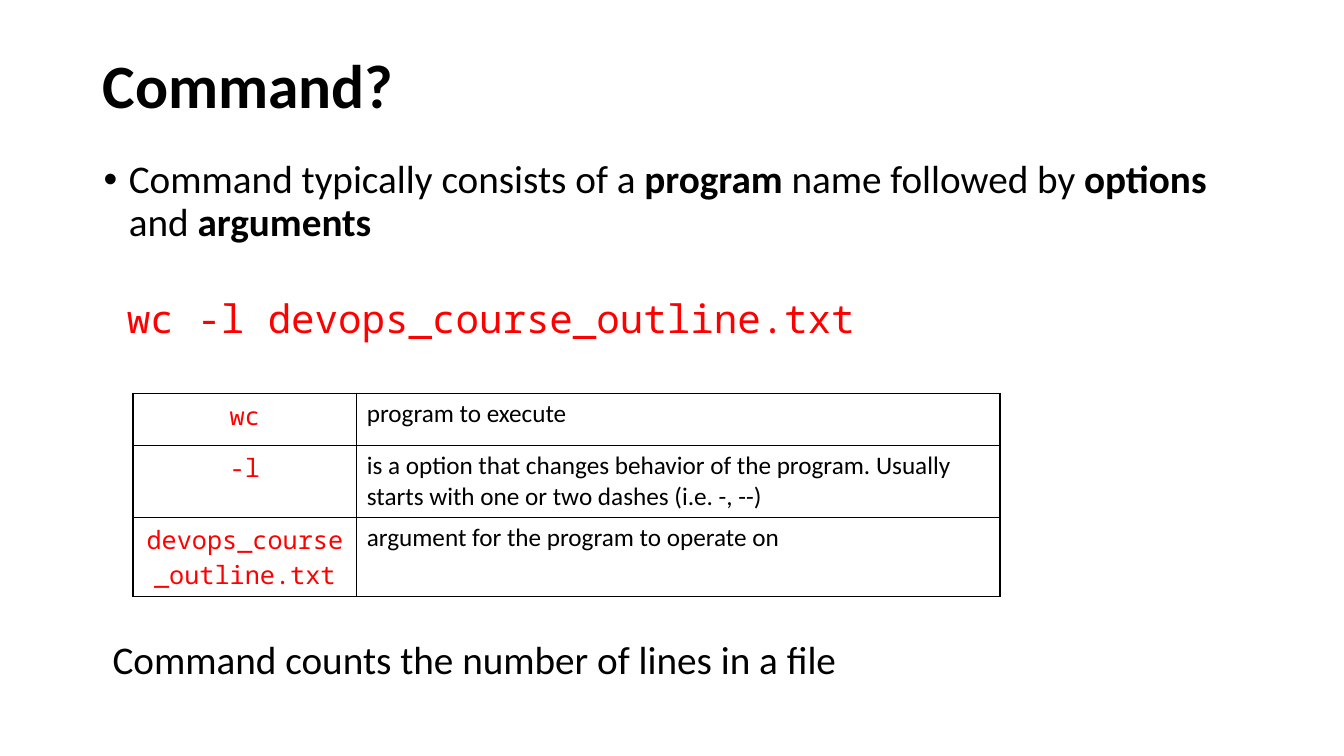
from lxml import etree
from pptx import Presentation, util as u
from pptx.dml.color import RGBColor
from pptx.enum import text
from pptx.oxml.ns import qn

BLACK, RED, WHITE = "000000", "FF0000", "FFFFFF"
SANS, MONO = "Calibri", "Noto Sans Mono"


def colour(value):
    return RGBColor.from_string(value)


class CommandSlide:
    def __init__(self, deck):
        self.slide = deck.slides.add_slide(deck.slide_layouts[6])

    def add_span(self, para, words, size, font=SANS, ink=BLACK, bold=False):
        span = para.add_run()
        span.text = words
        span.font.name = font
        span.font.size = u.Pt(size)
        span.font.bold = bold
        span.font.color.rgb = colour(ink)

    def text_box(self, left, top, width, height, anchor=text.MSO_ANCHOR.TOP):
        """Add a wrapping box and return its first paragraph."""
        box = self.slide.shapes.add_textbox(
            u.Cm(left), u.Cm(top), u.Cm(width), u.Cm(height))
        frame = box.text_frame
        frame.word_wrap = True
        frame.vertical_anchor = anchor
        para = frame.paragraphs[0]
        para.line_spacing = 0.9
        return para

    def bullet(self, para, indent):
        properties = para._p.get_or_add_pPr()
        properties.set("marL", str(u.Cm(indent)))
        properties.set("indent", str(-u.Cm(indent)))
        etree.SubElement(properties, qn("a:buFont"), typeface="Arial")
        etree.SubElement(properties, qn("a:buChar"), char="•")

    def border(self, cell, width):
        properties = cell._tc.get_or_add_tcPr()
        for side in ("lnL", "lnR", "lnT", "lnB"):
            line = etree.SubElement(properties, qn(f"a:{side}"), w=str(u.Pt(width)))
            fill = etree.SubElement(line, qn("a:solidFill"))
            etree.SubElement(fill, qn("a:srgbClr"), val=BLACK)

    def table(self, left, top, widths, heights, rows):
        """Add a bordered table of code terms and their meanings."""
        table = self.slide.shapes.add_table(
            len(rows), len(widths), u.Cm(left), u.Cm(top),
            u.Cm(sum(widths)), u.Cm(sum(heights))).table
        table.first_row = table.horz_banding = False
        for column, width in zip(table.columns, widths):
            column.width = u.Cm(width)
        for index, (height, row) in enumerate(zip(heights, rows)):
            table.rows[index].height = u.Cm(height)
            for place, words in enumerate(row):
                cell = table.cell(index, place)
                self.border(cell, 1)
                cell.fill.solid()
                cell.fill.fore_color.rgb = colour(WHITE)
                para = cell.text_frame.paragraphs[0]
                if place == 0:
                    para.alignment = text.PP_ALIGN.CENTER
                    self.add_span(para, words, 18, MONO, RED)
                else:
                    self.add_span(para, words, 18)


def main():
    deck = Presentation()
    deck.slide_width, deck.slide_height = u.Cm(33.87), u.Cm(19.05)
    page = CommandSlide(deck)

    title = page.text_box(2.34, 0.38, 29.21, 3.68, text.MSO_ANCHOR.MIDDLE)
    page.add_span(title, "Command?", 44, bold=True)

    definition = page.text_box(2.36, 3.91, 29.59, 2.5)
    page.bullet(definition, 0.64)
    for words, bold in (
        ("Command typically consists of a ", False),
        ("program", True),
        (" name followed by ", False),
        ("options", True),
        (" and ", False),
        ("arguments", True),
    ):
        page.add_span(definition, words, 28, bold=bold)

    example = page.text_box(2.95, 7.42, 29, 1.5)
    page.add_span(example, "wc -l devops_course_outline.txt", 28, MONO, RED)

    page.table(3.35, 9.91, (5.64, 16.21), (1.32, 1.82, 1.98), (
        ("wc", "program to execute"),
        ("-l", "is a option that changes behavior of the program. "
               "Usually starts with one or two dashes (i.e. -, --)"),
        ("devops_course_outline.txt", "argument for the program to operate on"),
    ))

    summary = page.text_box(2.59, 16.03, 29.36, 1.4)
    page.add_span(summary, "Command counts the number of lines in a file", 28)

    deck.save("out.pptx")


if __name__ == "__main__":
    main()
